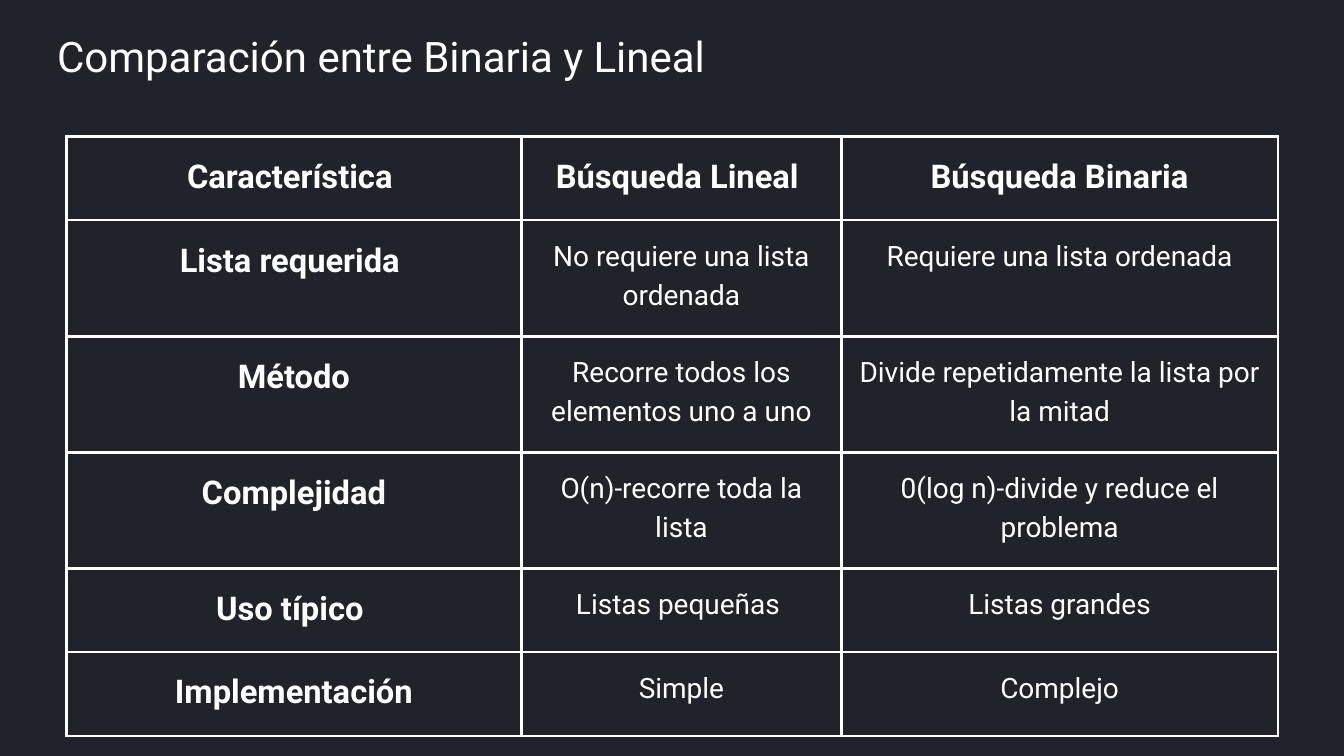
from lxml.etree import SubElement
from pptx import Presentation
from pptx.dml.color import RGBColor
from pptx.enum.text import MSO_ANCHOR as Anchor, MSO_AUTO_SIZE as AutoSize, PP_ALIGN as Align
from pptx.oxml.ns import qn
from pptx.util import Pt

FONT = "Roboto"
BACKGROUND = "20232A"
WHITE = "FFFFFF"
BORDER_WIDTH = 3
CELL_MARGIN = 15

TITLE = "Comparación entre Binaria y Lineal"
COLUMN_WIDTHS = [487.4, 342.9, 467.6]
SHORT_ROW, TALL_ROW = 89.8, 124.3
ROW_HEIGHTS = [SHORT_ROW, TALL_ROW, TALL_ROW, TALL_ROW, SHORT_ROW, SHORT_ROW]
COMPARISON = [
    ["Característica ", "Búsqueda Lineal ", "Búsqueda Binaria"],
    ["Lista requerida ", "No requiere una lista ordenada", "Requiere una lista ordenada"],
    ["Método", "Recorre todos los elementos uno a uno",
     "Divide repetidamente la lista por la mitad"],
    ["Complejidad", "O(n)-recorre toda la lista", "0(log n)-divide y reduce el problema"],
    ["Uso típico ", "Listas pequeñas ", "Listas grandes"],
    ["Implementación", "Simple", "Complejo"],
]


def color(hex_string):
    return RGBColor.from_string(hex_string)


def format_paragraph(paragraph, size, line_spacing, align, bold=False):
    paragraph.alignment = align
    paragraph.line_spacing = Pt(line_spacing)
    font = paragraph.font
    font.name, font.size, font.bold = FONT, Pt(size), bold
    font.color.rgb = color(WHITE)


def add_borders(cell):
    properties = cell._tc.get_or_add_tcPr()
    for side in ("a:lnL", "a:lnR", "a:lnT", "a:lnB"):
        line = SubElement(properties, qn(side), w=str(Pt(BORDER_WIDTH)))
        fill = SubElement(line, qn("a:solidFill"))
        SubElement(fill, qn("a:srgbClr"), val=WHITE)


def place_title(slide, left, top, width, height):
    title = slide.shapes.title
    title.left, title.top, title.width, title.height = map(Pt, (left, top, width, height))
    frame = title.text_frame
    frame.text = TITLE
    frame.word_wrap = True
    frame.auto_size = AutoSize.NONE
    frame.vertical_anchor = Anchor.TOP
    frame.margin_left = frame.margin_right = frame.margin_top = frame.margin_bottom = 0
    format_paragraph(frame.paragraphs[0], 45, 51.3, Align.LEFT)


def fill_cell(cell, text, is_heading):
    cell.text = text
    cell.vertical_anchor = Anchor.TOP
    cell.margin_left = cell.margin_right = Pt(CELL_MARGIN)
    cell.margin_top = cell.margin_bottom = Pt(CELL_MARGIN)
    add_borders(cell)
    cell.fill.background()
    size = 35 if is_heading else 30
    format_paragraph(cell.text_frame.paragraphs[0], size, size * 1.4, Align.CENTER, is_heading)


def add_comparison_table(slide, left, top):
    table = slide.shapes.add_table(
        len(ROW_HEIGHTS), len(COLUMN_WIDTHS), Pt(left), Pt(top),
        Pt(sum(COLUMN_WIDTHS)), Pt(sum(ROW_HEIGHTS))).table
    table.first_row = table.horz_banding = False
    for column, width in zip(table.columns, COLUMN_WIDTHS):
        column.width = Pt(width)
    for row, height in zip(table.rows, ROW_HEIGHTS):
        row.height = Pt(height)
    for row_index, texts in enumerate(COMPARISON):
        for column_index, text in enumerate(texts):
            is_heading = row_index == 0 or column_index == 0
            fill_cell(table.cell(row_index, column_index), text, is_heading)


def main():
    presentation = Presentation()
    presentation.slide_width, presentation.slide_height = Pt(1440), Pt(810)
    title_only = presentation.slide_layouts[5]
    slide = presentation.slides.add_slide(title_only)
    slide.background.fill.solid()
    slide.background.fill.fore_color.rgb = color(BACKGROUND)
    add_comparison_table(slide, 71.3, 146.2)
    place_title(slide, 61.2, 35.3, 715.7, 54)
    presentation.save("out.pptx")


if __name__ == "__main__":
    main()
